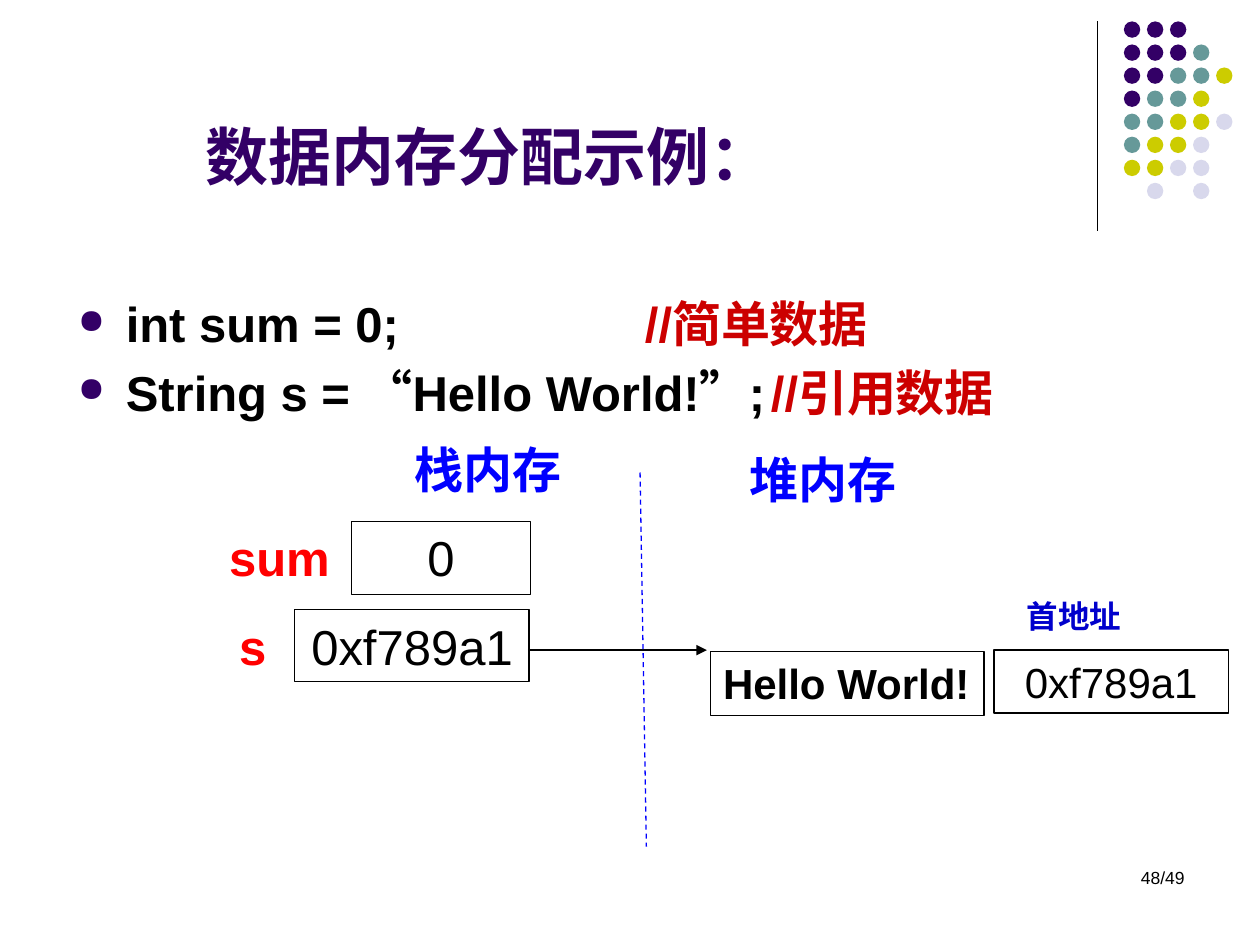
from lxml import etree
from pptx import Presentation
from pptx.dml.color import RGBColor
from pptx.enum.dml import MSO_LINE
from pptx.enum.shapes import MSO_CONNECTOR, MSO_SHAPE
from pptx.enum.text import MSO_ANCHOR as ANCHOR, MSO_AUTO_SIZE, PP_ALIGN as ALIGN
from pptx.oxml.ns import qn
from pptx.util import Inches, Pt

rgb = RGBColor.from_string

prs = Presentation()
prs.slide_width, prs.slide_height = Inches(10), Inches(7.5)
COL, ROW = prs.slide_width / 100, prs.slide_height / 75
s = prs.slides.add_slide(prs.slide_layouts[5])


def box(x, y, w, h):
    return [round(v) for v in (x * COL, y * ROW, w * COL, h * ROW)]


def write(p, text, size, color, bold=True):
    r = p.add_run()
    r.text = text
    r.font.name, r.font.size, r.font.bold = "Arial", Pt(size), bold
    r.font.color.rgb = rgb(color)


dots = ["PPP", "PPPT", "PPTTY", "PTTY", "TTYYL", "TYYL", "YYLL", " L L"]
palette = {"P": "330066", "T": "669999", "Y": "CCCC00", "L": "D8D8EC"}
for row, line in enumerate(dots):
    for col, key in enumerate(line):
        if key in palette:
            sp = s.shapes.add_shape(
                MSO_SHAPE.OVAL, *box(89.2 + 1.83 * col, 1.7 + 1.83 * row, 1.3, 1.3))
            sp.shadow.inherit = False
            sp.fill.solid()
            sp.fill.fore_color.rgb = rgb(palette[key])
            sp.line.fill.background()

title = s.shapes.title
title.left, title.top, title.width, title.height = box(15.3, 3.3, 75.6, 12.5)
tf = title.text_frame
tf.auto_size, tf.vertical_anchor = MSO_AUTO_SIZE.NONE, ANCHOR.BOTTOM
tf.paragraphs[0].alignment = ALIGN.LEFT
write(tf.paragraphs[0], "数据内存分配示例：", 36, "330066")

code = [("int sum = 0; \t\t\t\t", "//简单数据"),
        ("String s = “Hello World!”;\t", "//引用数据")]
tf = s.shapes.add_textbox(*box(5.2, 22.8, 89.2, 13.1)).text_frame
tf.word_wrap = True
for i, (statement, remark) in enumerate(code):
    p = tf.add_paragraph() if i else tf.paragraphs[0]
    pPr = p._p.get_or_add_pPr()
    pPr.set("marL", str(Inches(0.38)))
    pPr.set("indent", str(-Inches(0.38)))
    bullet_color = etree.SubElement(pPr, qn("a:buClr"))
    etree.SubElement(bullet_color, qn("a:srgbClr"), val="330066")
    etree.SubElement(pPr, qn("a:buSzPct"), val="70000")
    etree.SubElement(pPr, qn("a:buChar"), char="●")
    if i:
        p.space_before = Pt(5.6)
    write(p, statement, 28, "000000")
    write(p, remark, 28, "CC0000")

labels = [
    ("sum", 17.2, 41.4, 10, 5.7, 28, "FF0000", True, ALIGN.LEFT),
    ("s", 18, 48.4, 4.2, 5.7, 28, "FF0000", True, ALIGN.LEFT),
    ("栈内存", 31.2, 34.4, 15, 5.7, 28, "0000FF", True, ALIGN.CENTER),
    ("堆内存", 57.8, 35.2, 15, 5.7, 28, "0000FF", True, ALIGN.CENTER),
    ("首地址", 80.5, 46.9, 14.1, 4, 18, "0000CC", True, ALIGN.LEFT),
    ("48/49", 71.7, 68.3, 23.3, 5, 10, "000000", False, ALIGN.RIGHT),
]
for text, x, y, w, h, size, color, bold, align in labels:
    tf = s.shapes.add_textbox(*box(x, y, w, h)).text_frame
    tf.word_wrap = True
    tf.paragraphs[0].alignment = align
    write(tf.paragraphs[0], text, size, color, bold)

cells = [
    ("0", 27.9, 41.4, 14.2, 5.8, 28, False, ALIGN.CENTER),
    ("0xf789a1", 23.4, 48.4, 18.6, 5.7, 28, False, ALIGN.CENTER),
    ("Hello World!", 56.4, 51.7, 21.7, 5.1, 24, True, ALIGN.LEFT),
    ("0xf789a1", 78.9, 51.6, 18.6, 5, 24, False, ALIGN.CENTER),
]
for text, x, y, w, h, size, bold, align in cells:
    sp = s.shapes.add_shape(MSO_SHAPE.RECTANGLE, *box(x, y, w, h))
    sp.shadow.inherit = False
    sp.fill.background()
    sp.line.color.rgb, sp.line.width = rgb("000000"), Pt(0.75)
    tf = sp.text_frame
    tf.word_wrap, tf.vertical_anchor = align == ALIGN.CENTER, ANCHOR.TOP
    tf.paragraphs[0].alignment = align
    write(tf.paragraphs[0], text, size, "000000", bold)

lines = [
    (87.1, 1.7, 87.1, 18.3, "000000", None, False),
    (41.9, 51.6, 56.1, 51.6, "000000", None, True),
    (50.8, 37.5, 51.3, 67.2, "0000FF", MSO_LINE.DASH, False),
]
for x1, y1, x2, y2, color, dash, arrow in lines:
    cn = s.shapes.add_connector(MSO_CONNECTOR.STRAIGHT, *box(x1, y1, x2, y2))
    cn.line.color.rgb, cn.line.width = rgb(color), Pt(0.75)
    if dash:
        cn.line.dash_style = dash
    if arrow:
        etree.SubElement(cn.line._get_or_add_ln(), qn("a:tailEnd"), type="triangle")
    etree.SubElement(cn._element.spPr, qn("a:effectLst"))

prs.save("out.pptx")
